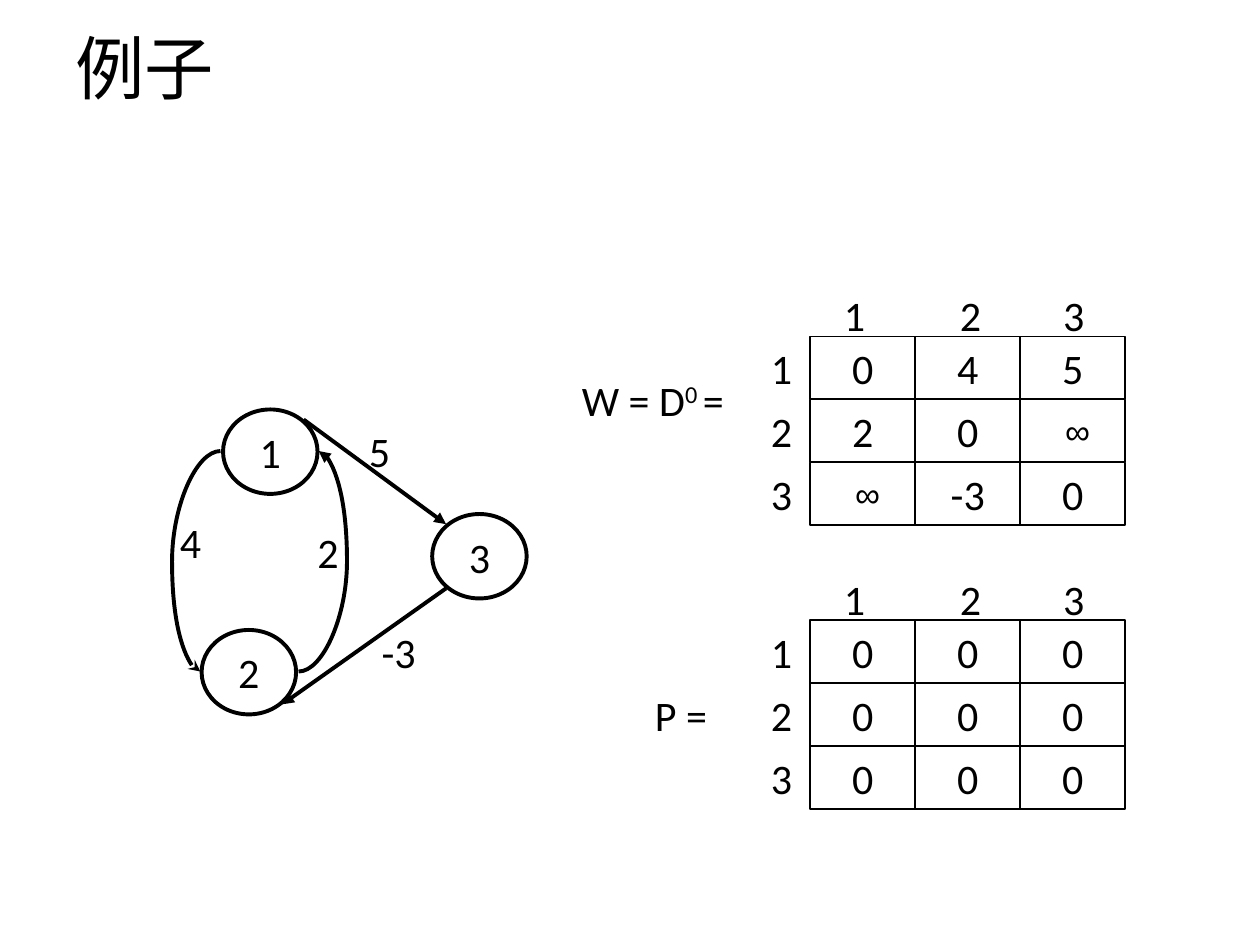
from dataclasses import dataclass

from lxml import etree
from pptx import Presentation
from pptx import util as u
from pptx.dml.color import RGBColor
from pptx.enum import shapes, text
from pptx.oxml import ns

In = u.Inches


@dataclass(frozen=True)
class Theme:
    ink: RGBColor = RGBColor(0, 0, 0)
    font: str = "Calibri"
    sign: str = "Arial"
    head: float = 39.6
    body: float = 24
    small: float = 20
    thin: float = 1
    thick: float = 2.25


T = Theme()
COLS = (6.6, 7.52, 8.34)  # left edges of the column labels


def add_run(para, words, size=T.body, font=T.font, base=None):
    run = para.add_run()
    run.text = words
    run.font.size = u.Pt(size)
    run.font.name = font
    run.font.color.rgb = T.ink
    if base:
        run.font._element.set("baseline", str(base))


def add_label(parent, x, y, w, *runs):
    box = parent.add_textbox(In(x), In(y), In(w), In(0.5))
    frame = box.text_frame
    frame.word_wrap = False
    frame.auto_size = text.MSO_AUTO_SIZE.SHAPE_TO_FIT_TEXT
    for words, base in runs:
        add_run(frame.paragraphs[0], words, base=base)


def add_box(parent, kind, x, y, w, h, words, width):
    box = parent.add_shape(kind, In(x), In(y), In(w), In(h))
    box.shadow.inherit = False
    box.fill.background()
    box.line.color.rgb = T.ink
    box.line.width = u.Pt(width)
    frame = box.text_frame
    frame.word_wrap = False
    frame.vertical_anchor = text.MSO_ANCHOR.MIDDLE
    para = frame.paragraphs[0]
    para.alignment = text.PP_ALIGN.CENTER
    if "∞" in words:
        add_run(para, words, T.small, T.sign)
    else:
        add_run(para, words)


def add_matrix(slide, top, rows):
    group = slide.shapes.add_group_shape().shapes
    left, wide, high = 6.43, 2.5 / 3, 0.5
    for r, row in enumerate(rows):
        for c, value in enumerate(row):
            add_box(group, shapes.MSO_SHAPE.RECTANGLE, left + c * wide,
                    top + r * high, wide, high, value, T.thin)
    for i, x in enumerate(COLS):
        name = (str(i + 1), None)
        add_label(group, x, top - 0.42, 0.37, name)
        add_label(group, 6.02, top + i * high, 0.37, name)


def add_edge(slide, start, end, tip="tailEnd", style="triangle", bend=None):
    kind = shapes.MSO_CONNECTOR.STRAIGHT if bend is None else shapes.MSO_CONNECTOR.CURVE
    edge = slide.shapes.add_connector(kind, *map(In, start + end))
    edge.line.color.rgb = T.ink
    edge.line.width = u.Pt(T.thick)
    props = edge._element.spPr
    etree.SubElement(edge.line._get_or_add_ln(), ns.qn("a:" + tip), type=style)
    etree.SubElement(props, ns.qn("a:effectLst"))
    if bend is not None:
        guides = props.find(".//" + ns.qn("a:avLst"))
        etree.SubElement(guides, ns.qn("a:gd"), name="adj1", fmla=f"val {bend}")


def add_title(slide, words):
    title = slide.shapes.title
    title.left, title.top, title.width, title.height = map(In, (0.5, 0.25, 9, 0.65))
    frame = title.text_frame
    frame.vertical_anchor = text.MSO_ANCHOR.MIDDLE
    para = frame.paragraphs[0]
    para.alignment = text.PP_ALIGN.LEFT
    para.line_spacing = 0.9
    add_run(para, words, T.head)


def main():
    deck = Presentation()
    deck.slide_width, deck.slide_height = In(10), In(7.5)
    slide = deck.slides.add_slide(deck.slide_layouts[5])
    add_title(slide, "例子")

    # Distance and predecessor matrices
    add_label(slide.shapes, 4.52, 2.92, 1.47,
              ("W = D", None), ("0 ", 30000), ("=", None))
    add_matrix(slide, 2.67, (("0", "4", "5"), ("2", "0", " ∞"), (" ∞", "-3", "0")))
    add_matrix(slide, 4.92, ("000",) * 3)
    add_label(slide.shapes, 5.1, 5.42, 0.66, ("P =", None))

    # Graph nodes
    for name, x, y in (("1", 1.77, 3.25), ("2", 1.6, 5), ("3", 3.43, 4.08)):
        add_box(slide.shapes, shapes.MSO_SHAPE.OVAL, x, y, 0.75, 0.67, name, T.thick)

    # Graph edges
    add_edge(slide, (2.41, 3.33), (3.54, 4.16))
    add_edge(slide, (3.54, 4.67), (2.24, 5.59))
    add_edge(slide, (1.59, 5.33), (1.75, 3.58), "headEnd", "stealth", -140600)
    add_edge(slide, (2.37, 5.33), (2.53, 3.58), bend=240600)

    # Edge weights
    for cost, x, y, w in (("5", 2.83, 3.33, 0.37), ("-3", 2.93, 4.92, 0.48),
                          ("2", 2.42, 4.13, 0.37), ("4", 1.33, 4.05, 0.37)):
        add_label(slide.shapes, x, y, w, (cost, None))

    deck.save("out.pptx")


if __name__ == "__main__":
    main()
